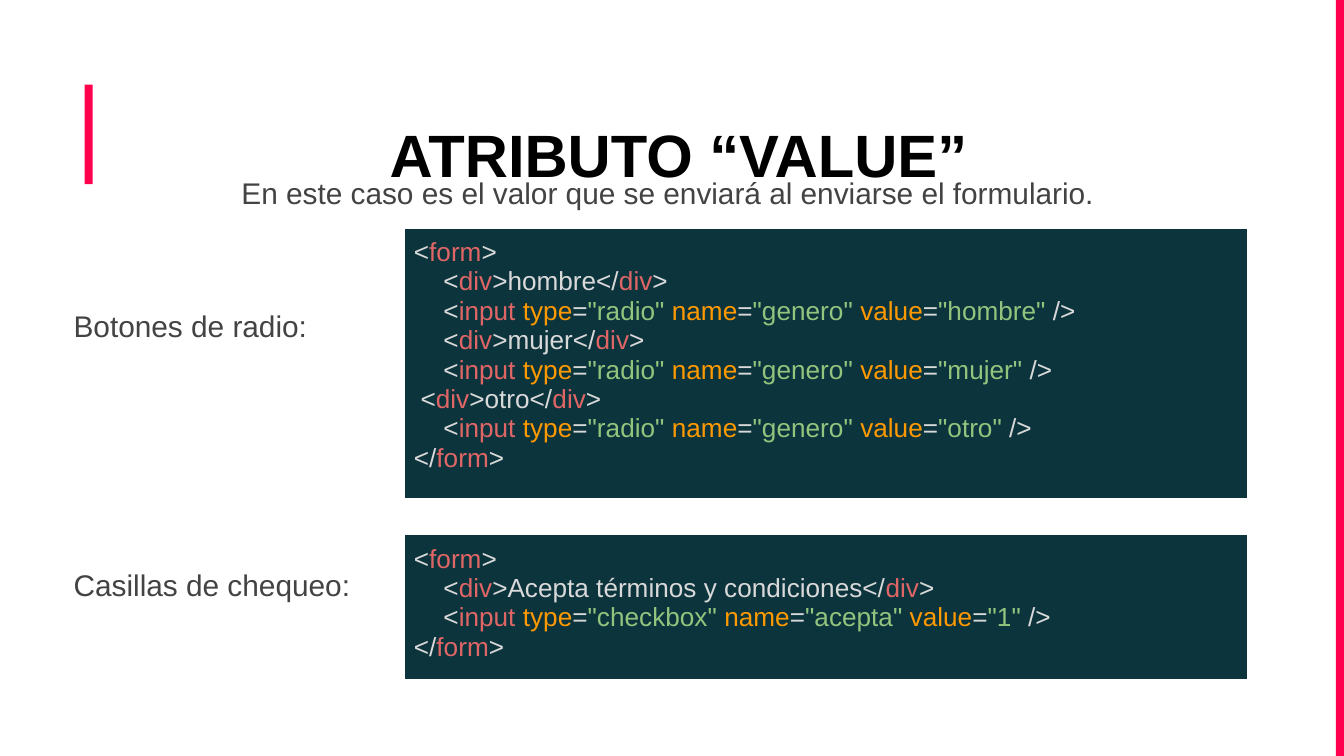
from lxml import etree
from pptx import Presentation
from pptx import util as u
from pptx.dml.color import RGBColor
from pptx.enum import shapes, text
from pptx.oxml import ns

ACCENT = RGBColor(0xFF, 0x00, 0x4E)
BLACK = RGBColor(0x00, 0x00, 0x00)
WHITE = RGBColor(0xFF, 0xFF, 0xFF)
BODY = RGBColor(0x43, 0x43, 0x43)
CODE_FILL = RGBColor(0x0C, 0x34, 0x3D)
PLAIN = RGBColor(0xD9, 0xD9, 0xD9)
TAG = RGBColor(0xE0, 0x66, 0x66)
ATTRIBUTE = RGBColor(0xFF, 0x99, 0x00)
VALUE = RGBColor(0x93, 0xC4, 0x7D)

INDENT = 0.22
SMALL_INDENT = 0.05
SLIDE_WIDTH = u.Inches(10)
SLIDE_HEIGHT = SLIDE_WIDTH * 9 // 16
MARGINS = ("margin_left", "margin_top", "margin_right", "margin_bottom")


class SlideBuilder:
    """Holds the style and the slide being built."""

    font_name = "Arial"
    text_margin = u.Inches(0.1)
    code_margin = u.Inches(0.07)
    code_size = 14

    def __init__(self, slide):
        self.slide = slide

    def set_values(self, target, values):
        for name, value in values.items():
            setattr(target, name, value)

    def add_run(self, paragraph, words, size, color, bold=False):
        run = paragraph.add_run()
        run.text = words
        self.set_values(run.font, {"name": self.font_name, "size": u.Pt(size), "bold": bold})
        run.font.color.rgb = color

    def bar(self, left, top, width, height):
        shape = self.slide.shapes.add_shape(
            shapes.MSO_SHAPE.RECTANGLE, left, top, width, height)
        shape.shadow.inherit = False
        shape.fill.solid()
        shape.fill.fore_color.rgb = ACCENT
        shape.line.fill.background()

    def text_box(self, words, box, size=16, color=BODY, bold=False,
                 alignment=text.PP_ALIGN.LEFT):
        frame = self.slide.shapes.add_textbox(*map(u.Inches, box)).text_frame
        self.set_values(frame, dict.fromkeys(MARGINS, self.text_margin))
        frame.word_wrap = True
        paragraph = frame.paragraphs[0]
        self.set_values(paragraph, {"alignment": alignment, "line_spacing": 1.5,
                                    "space_after": u.Pt(11)})
        self.add_run(paragraph, words, size, color, bold)

    def code_table(self, lines, box):
        table = self.slide.shapes.add_table(1, 1, *map(u.Inches, box)).table
        self.set_values(table, {"first_row": False, "horz_banding": False})
        cell = table.cell(0, 0)
        self.set_values(cell, dict.fromkeys(MARGINS, self.code_margin))
        cell.fill.solid()
        cell.fill.fore_color.rgb = CODE_FILL
        self.add_borders(cell)
        frame = cell.text_frame
        for number, (indent, runs) in enumerate(lines):
            paragraph = frame.add_paragraph() if number else frame.paragraphs[0]
            self.set_values(paragraph, {"line_spacing": 1.0, "space_before": u.Pt(0),
                                        "space_after": u.Pt(0)})
            properties = paragraph._p.get_or_add_pPr()
            properties.set("marL", str(u.Inches(indent)))
            properties.set("indent", "0")
            for words, color in runs:
                self.add_run(paragraph, words, self.code_size, color)
            etree.SubElement(paragraph._p, ns.qn("a:endParaRPr"), sz=str(self.code_size * 100))

    def add_borders(self, cell):
        properties = cell._tc.get_or_add_tcPr()
        for position, side in enumerate(("lnL", "lnR", "lnT", "lnB")):
            border = etree.Element(ns.qn(f"a:{side}"), w=str(u.Pt(0.75)))
            fill = etree.SubElement(border, ns.qn("a:solidFill"))
            etree.SubElement(fill, ns.qn("a:srgbClr"), val=str(WHITE))
            properties.insert(position, border)


# Coloured pieces of HTML
def element(name, content):
    return [("<", PLAIN), (name, TAG), (f">{content}</", PLAIN), (name, TAG), (">", PLAIN)]


def input_tag(**attributes):
    runs = [("<", PLAIN), ("input ", TAG)]
    for name, value in attributes.items():
        gap = "" if name == "value" else " "
        runs += [(name, ATTRIBUTE), ("=", PLAIN), (f'"{value}"{gap}', VALUE)]
    return runs + [(" />", PLAIN)]


def form(lines):
    opening = [("<", PLAIN), ("form", TAG), (">", PLAIN)]
    closing = [("</", PLAIN), ("form", TAG), (">", PLAIN)]
    return [(0, opening), *lines, (0, closing)]


def main():
    presentation = Presentation()
    presentation.slide_width = SLIDE_WIDTH
    presentation.slide_height = SLIDE_HEIGHT
    builder = SlideBuilder(presentation.slides.add_slide(presentation.slide_layouts[6]))

    # Accent bars
    bar_width = u.Inches(0.06)
    builder.bar(u.Inches(0.63), u.Inches(0.63), bar_width, u.Inches(0.74))
    builder.bar(SLIDE_WIDTH - bar_width, 0, bar_width, SLIDE_HEIGHT)

    # Introduction
    builder.text_box("En este caso es el valor que se enviará al enviarse el formulario. ",
                     (0.14, 1.07, 9.72, 1.03), alignment=text.PP_ALIGN.CENTER)

    # Radio buttons
    builder.text_box("Botones de radio:", (0.45, 2.06, 9.04, 0.48))
    radio_lines = []
    for gender, indent in (("hombre", INDENT), ("mujer", INDENT), ("otro", SMALL_INDENT)):
        radio_lines.append((indent, element("div", gender)))
        radio_lines.append((INDENT, input_tag(type="radio", name="genero", value=gender)))
    builder.code_table(form(radio_lines), (3.01, 1.7, 6.27, 1.5))

    # Checkboxes
    builder.text_box("Casillas de chequeo:", (0.45, 3.98, 8.17, 0.48))
    checkbox_lines = [
        (INDENT, element("div", "Acepta términos y condiciones")),
        (INDENT, input_tag(type="checkbox", name="acepta", value="1")),
    ]
    builder.code_table(form(checkbox_lines), (3.01, 3.98, 6.27, 0.36))

    # Title
    builder.text_box("ATRIBUTO “VALUE”", (0.74, 0.51, 8.62, 0.69), size=32, color=BLACK,
                     bold=True, alignment=text.PP_ALIGN.CENTER)

    presentation.save("out.pptx")


if __name__ == "__main__":
    main()
